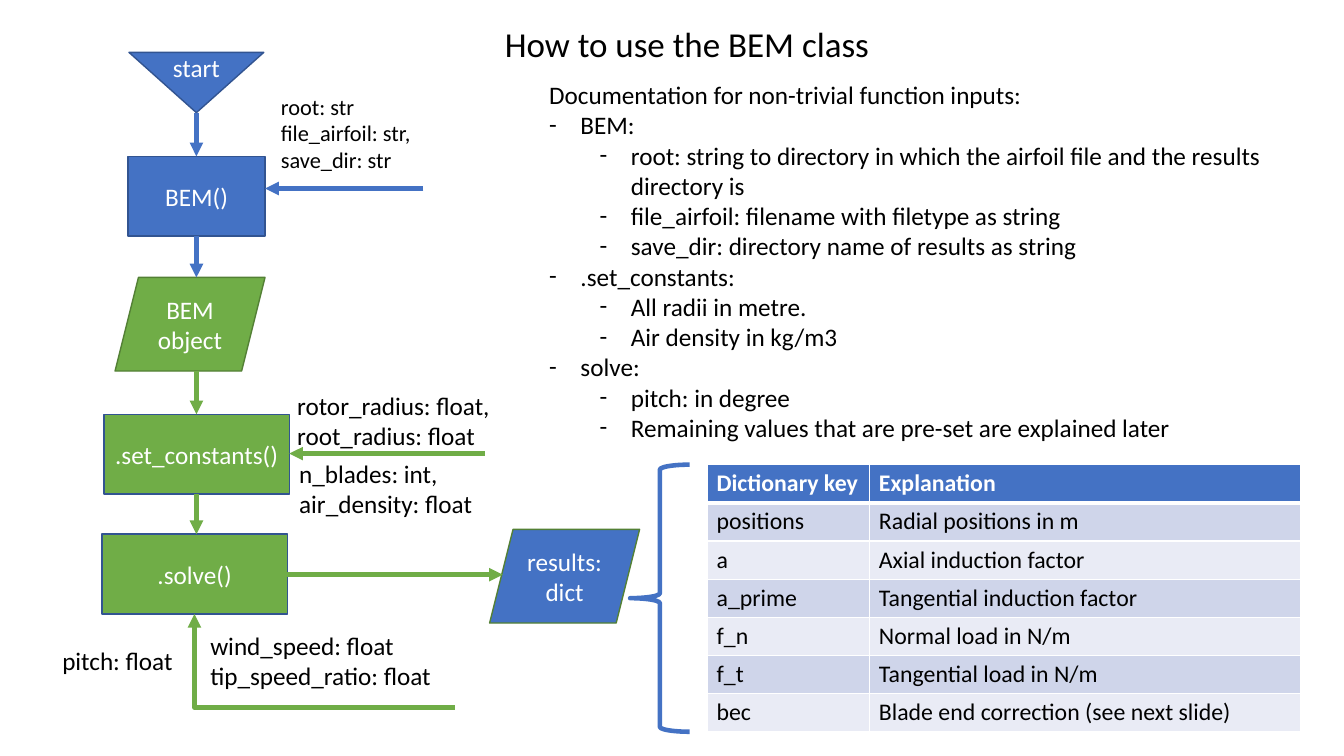
import pptx
import pptx.util
import pptx.dml.color
import pptx.enum.shapes
import pptx.enum.text
import pptx.oxml
import pptx.oxml.ns
from dataclasses import dataclass

Cm, Pt = pptx.util.Cm, pptx.util.Pt
SHAPE = pptx.enum.shapes.MSO_SHAPE
LINK = pptx.enum.shapes.MSO_CONNECTOR
TEXT = pptx.enum.text


@dataclass(frozen=True)
class Theme:
    font: str = "Calibri"
    blue: str = "4472C4"
    green: str = "70AD47"
    blue_edge: str = "325491"
    green_edge: str = "538035"
    band_dark: str = "CFD5EA"
    band_light: str = "E9EBF5"
    black: str = "000000"
    white: str = "FFFFFF"
    title: int = 25
    body: int = 18
    table: int = 17
    small: int = 16
    edge: float = 1
    arrow: float = 3.25


theme = Theme()

# Content; places are left, top, width, height in cm
TITLE = ("How to use the BEM class", (12.47, 0.43, 9.78, 1.32))
STEPS = [  # text, shape, place, fill, edge
    ("start", SHAPE.FLOWCHART_MERGE, (3.25, 1.32, 3.4, 1.52), theme.blue, theme.blue_edge),
    ("BEM()", SHAPE.RECTANGLE, (3.23, 3.94, 3.45, 2.01), theme.blue, theme.blue_edge),
    ("BEM object", SHAPE.PARALLELOGRAM, (2.9, 6.99, 3.78, 2.36), theme.green, theme.green_edge),
    (".set_constants()", SHAPE.RECTANGLE, (2.62, 10.44, 4.67, 2.01), theme.green, theme.blue_edge),
    (".solve()", SHAPE.RECTANGLE, (2.57, 13.46, 4.67, 2.01), theme.green, theme.blue_edge),
]
RESULT = ("results: dict", SHAPE.PARALLELOGRAM, (12.34, 13.34, 3.78, 2.36),
          theme.blue, theme.green_edge)
STEP_AXIS = 4.95
SIDE_ARROWS = [  # from x, to x, y, colour
    (10.67, 6.68, 4.75, theme.blue),
    (12.22, 7.29, 11.43, theme.green),
    (7.09, 12.67, 14.48, theme.green),
]
SOLVE_INPUT = (4.9, 15.47, 11.46, 17.83)
INPUTS = [  # lines, place, size
    (["root: str", "file_airfoil: str,", "save_dir: str"], (6.83, 2.21, 3.81, 2.31), theme.small),
    (["rotor_radius: float,", "root_radius: float"], (7.24, 9.7, 5.41, 1.8), theme.body),
    (["n_blades: int,", "air_density: float"], (7.29, 11.43, 4.93, 1.8), theme.body),
    (["wind_speed: float", "tip_speed_ratio: float"], (5.05, 15.75, 6.15, 1.8), theme.body),
    (["pitch: float"], (1.32, 16.13, 3.33, 1.02), theme.body),
]
DOC_PLACE = (13.59, 1.88, 18.77, 10.26)
DOC_HEADING = "Documentation for non-trivial function inputs:"
DOCS = {
    "BEM:": [
        "root: string to directory in which the airfoil file and the results directory is",
        "file_airfoil: filename with filetype as string",
        "save_dir: directory name of results as string",
    ],
    ".set_constants:": ["All radii in metre.", "Air density in kg/m3"],
    "solve:": ["pitch: in degree", "Remaining values that are pre-set are explained later"],
}
TABLE_PLACE = (17.83, 11.71, 14.94, 6.73)
COLUMN_WIDTHS = (4.09, 10.85)
ROWS = [
    ("Dictionary key", "Explanation"),
    ("positions", "Radial positions in m"),
    ("a", "Axial induction factor"),
    ("a_prime", "Tangential induction factor"),
    ("f_n", "Normal load in N/m"),
    ("f_t", "Tangential load in N/m"),
    ("bec", "Blade end correction (see next slide)"),
]
BRACE_PLACE = (15.88, 11.71, 1.5, 6.73)


# Helpers
def rgb(code):
    return pptx.dml.color.RGBColor.from_string(code)


def lengths(values):
    return [Cm(value) for value in values]


def add_xml(parent, xml):
    tag, rest = xml.split(" ", 1) if " " in xml else (xml[:-2], "/>")
    space = pptx.oxml.ns.nsdecls("a")
    parent.append(pptx.oxml.parse_xml(f"{tag} {space} {rest}"))


def style(para, size, color, bold=False):
    para.font.name, para.font.size, para.font.bold = theme.font, Pt(size), bold
    para.font.color.rgb = rgb(color)


def write(frame, lines, size, color, align=TEXT.PP_ALIGN.LEFT):
    for index, line in enumerate(lines):
        para = frame.add_paragraph() if index else frame.paragraphs[0]
        para.text, para.alignment = line, align
        style(para, size, color)


def add_text(place, lines, size, wrap=False):
    frame = page.shapes.add_textbox(*lengths(place)).text_frame
    frame.word_wrap, frame.auto_size = wrap, TEXT.MSO_AUTO_SIZE.SHAPE_TO_FIT_TEXT
    write(frame, lines, size, theme.black)
    return frame


def add_step(text, kind, place, fill, edge):
    step = page.shapes.add_shape(kind, *lengths(place))
    step.shadow.inherit = False
    step.fill.solid()
    step.fill.fore_color.rgb = rgb(fill)
    step.line.color.rgb, step.line.width = rgb(edge), Pt(theme.edge)
    step.text_frame.word_wrap = True
    write(step.text_frame, [text], theme.body, theme.white, TEXT.PP_ALIGN.CENTER)


def add_arrow(ends, color, kind=LINK.STRAIGHT):
    arrow = page.shapes.add_connector(kind, *lengths(ends))
    arrow.line.color.rgb, arrow.line.width = rgb(color), Pt(theme.arrow)
    add_xml(arrow.line._get_or_add_ln(), '<a:tailEnd type="triangle"/>')
    add_xml(arrow._element.spPr, "<a:effectLst/>")
    return arrow


def add_bullet(para, level):
    para.level = level
    props = para._p.get_or_add_pPr()
    props.set("marL", str(Cm(0.79 + 1.27 * level)))
    props.set("indent", str(Cm(-0.79)))
    add_xml(props, f'<a:buFont typeface="{theme.font}"/>')
    add_xml(props, '<a:buChar char="-"/>')


# Page and title
deck = pptx.Presentation()
deck.slide_width, deck.slide_height = Cm(33.87), Cm(19.05)
page = deck.slides.add_slide(deck.slide_layouts[5])
title = page.shapes.title
title.left, title.top, title.width, title.height = lengths(TITLE[1])
title.text_frame.word_wrap = False
title.text_frame.auto_size = TEXT.MSO_AUTO_SIZE.SHAPE_TO_FIT_TEXT
title.text_frame.vertical_anchor = TEXT.MSO_ANCHOR.TOP
write(title.text_frame, [TITLE[0]], theme.title, theme.black)

# Flow chart
for step in STEPS + [RESULT]:
    add_step(*step)
for upper, lower in zip(STEPS, STEPS[1:]):
    bottom = upper[2][1] + upper[2][3]
    color = theme.blue if lower[2][1] < 7 else theme.green
    add_arrow((STEP_AXIS, bottom, STEP_AXIS, lower[2][1]), color)
for start, end, level, color in SIDE_ARROWS:
    add_arrow((start, level, end, level), color)

# Two-part elbow, turned to run left and then up into .solve()
elbow = add_arrow(SOLVE_INPUT, theme.green, LINK.ELBOW)
elbow.rotation = 180 if hasattr(elbow, "rotation") else None
elbow._element.spPr.find(pptx.oxml.ns.qn("a:prstGeom")).set("prst", "bentConnector2")
elbow._element.spPr.find(pptx.oxml.ns.qn("a:xfrm")).set("rot", str(180 * 60000))

for lines, place, size in INPUTS:
    add_text(place, lines, size)

# Documentation list
entries = [(DOC_HEADING, None)]
for name, details in DOCS.items():
    entries += [(name, 0)] + [(detail, 1) for detail in details]
doc = add_text(DOC_PLACE, [], theme.body, wrap=True)
for index, (text, level) in enumerate(entries):
    para = doc.add_paragraph() if index else doc.paragraphs[0]
    para.text = text
    if level is not None:
        add_bullet(para, level)
    style(para, theme.body, theme.black)

# Table of result keys, with its brace
table = page.shapes.add_table(len(ROWS), len(COLUMN_WIDTHS), *lengths(TABLE_PLACE)).table
for column, width in zip(table.columns, COLUMN_WIDTHS):
    column.width = Cm(width)
for index, row in enumerate(ROWS):
    header = index == 0
    fill = theme.blue if header else (theme.band_light, theme.band_dark)[index % 2]
    for cell, text in zip(table.rows[index].cells, row):
        cell.margin_left = cell.margin_right = Cm(0.23)
        cell.margin_top = cell.margin_bottom = Cm(0.11)
        for side in "LRTB":
            thick = (header and side == "B") or (index == 1 and side == "T")
            add_xml(cell._tc.get_or_add_tcPr(),
                    f'<a:ln{side} w="{Pt(3 if thick else 1)}"><a:solidFill>'
                    f'<a:srgbClr val="{theme.white}"/></a:solidFill></a:ln{side}>')
        cell.fill.solid()
        cell.fill.fore_color.rgb = rgb(fill)
        cell.text = text
        style(cell.text_frame.paragraphs[0], theme.table,
              theme.white if header else theme.black, header)

brace = page.shapes.add_shape(SHAPE.LEFT_BRACE, *lengths(BRACE_PLACE))
brace.shadow.inherit = False
brace.fill.background()
brace.line.color.rgb, brace.line.width = rgb(theme.blue), Pt(theme.arrow)

deck.save("out.pptx")
